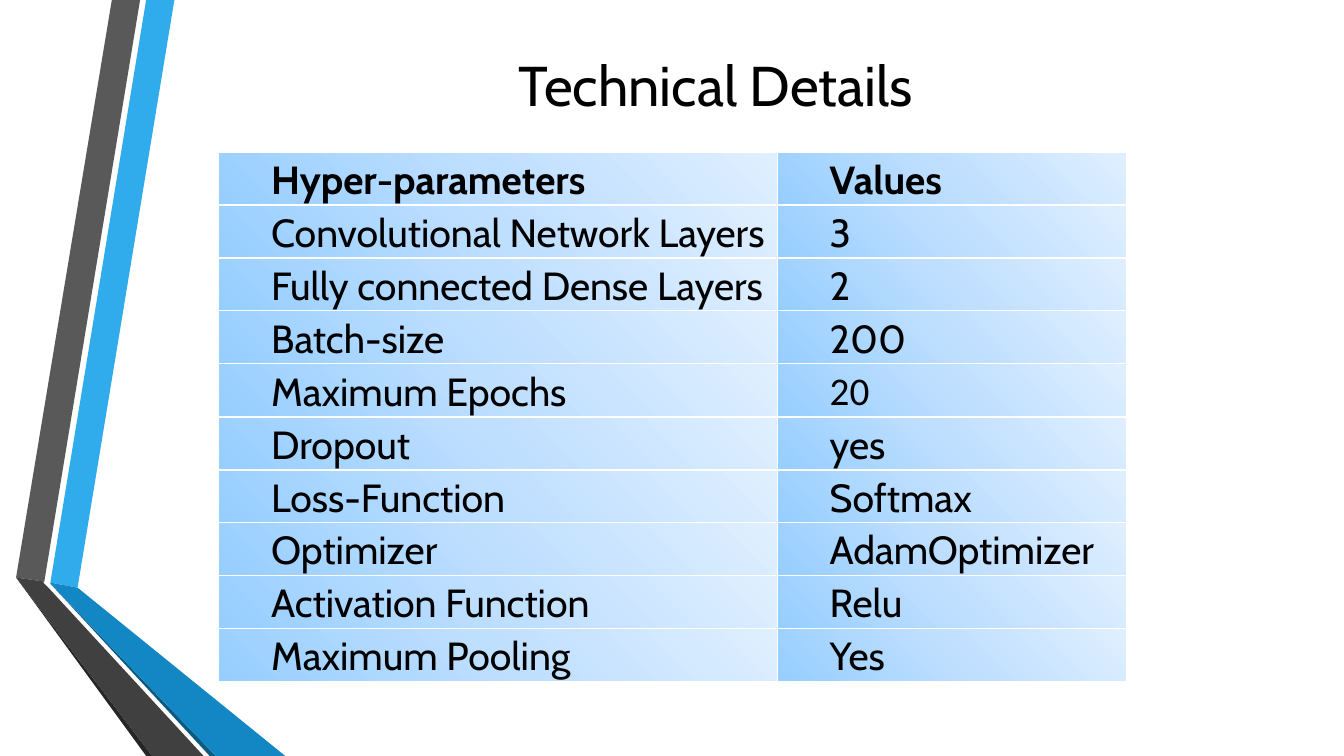
from lxml import etree
from pptx import Presentation
from pptx.dml.color import RGBColor
from pptx.enum.text import MSO_ANCHOR, PP_ALIGN
from pptx.oxml.ns import qn
from pptx.util import Inches, Pt

MIDDLE = MSO_ANCHOR.MIDDLE
CENTER = PP_ALIGN.CENTER

COLORS = {
    "text": "000000",
    "border": "FFFFFF",
    "blue": "30ACEC",
    "blue_fold": "1287C3",
    "blue_edge": "0C5A82",
    "gray": "595959",
    "gray_fold": "404040",
    "gray_edge": "262626",
}
CELL_GRADIENT = {0: "96CEFF", 50: "BFDFFF", 100: "DFEFFF"}

RIBBONS = [
    ("blue", [(0.5, 5.78), (0.77, 5.83), (1.73, 0), (1.45, 0)]),
    ("gray", [(1.39, 0), (1.11, 0), (0.16, 5.73), (0.44, 5.77)]),
    ("gray_edge", [(0.16, 5.73), (1.45, 7.5), (1.51, 7.5)]),
    ("blue_edge", [(0.5, 5.79), (2.08, 7.5), (2.14, 7.5)]),
    ("blue_fold", [(0.5, 5.79), (2.14, 7.5), (2.83, 7.5), (0.77, 5.83), (0.5, 5.78)]),
    ("gray_fold", [(2.02, 7.5), (0.48, 5.83), (0.43, 5.78), (0.44, 5.77),
                   (0.16, 5.73), (1.51, 7.5)]),
]

HYPER_PARAMETERS = [
    ("Hyper-parameters", "Values"),
    ("Convolutional Network Layers", "3"),
    ("Fully connected Dense Layers", "2"),
    ("Batch-size", "200"),
    ("Maximum Epochs", "20"),
    ("Dropout", "yes"),
    ("Loss-Function", "Softmax"),
    ("Optimizer", "AdamOptimizer"),
    ("Activation Function", "Relu"),
    ("Maximum Pooling", "Yes"),
]


def add_color(parent, name):
    etree.SubElement(parent, qn("a:srgbClr"), val=name)


class SlideBuilder:
    font = "Cabin"

    def __init__(self, slide):
        self.s = slide

    def format_text(self, p, size, bold=False, font=None):
        for r in p.runs:
            r.font.name = font or self.font
            r.font.size = Pt(size)
            r.font.bold = bold
            r.font.color.rgb = RGBColor.from_string(COLORS["text"])

    def ribbons(self, pieces):
        group = self.s.shapes.add_group_shape()
        for color, points in pieces:
            start, *rest = [(Inches(x), Inches(y)) for x, y in points]
            builder = group.shapes.build_freeform(*start)
            builder.add_line_segments(rest, close=True)
            sp = builder.convert_to_shape()
            sp.shadow.inherit = False
            sp.fill.solid()
            sp.fill.fore_color.rgb = RGBColor.from_string(COLORS[color])
            sp.line.fill.background()

    def title(self, text, left, top, width, height):
        sp = self.s.shapes.title
        sp.left, sp.top = Inches(left), Inches(top)
        sp.width, sp.height = Inches(width), Inches(height)
        tf = sp.text_frame
        tf.text = text
        tf.vertical_anchor = MIDDLE
        p = tf.paragraphs[0]
        p.alignment = CENTER
        self.format_text(p, 40)
        sp.element.getparent().append(sp.element)  # in front of the ribbons

    def style_cell(self, cell):
        """Give the cell white borders and a diagonal gradient."""
        cell.vertical_anchor = MIDDLE
        cell.margin_left = Inches(0.52)
        cell.margin_right = cell.margin_top = cell.margin_bottom = Inches(0.01)
        tcPr = cell._tc.get_or_add_tcPr()
        for side in ("a:lnL", "a:lnR", "a:lnT", "a:lnB"):
            ln = etree.SubElement(tcPr, qn(side), w=str(Pt(1)))
            add_color(etree.SubElement(ln, qn("a:solidFill")), COLORS["border"])
        grad = etree.SubElement(tcPr, qn("a:gradFill"), rotWithShape="1")
        stops = etree.SubElement(grad, qn("a:gsLst"))
        for percent, color in CELL_GRADIENT.items():
            add_color(etree.SubElement(stops, qn("a:gs"), pos=str(percent * 1000)), color)
        etree.SubElement(grad, qn("a:lin"), ang=str(315 * 60000), scaled="0")

    def table(self, rows, left, top, col_widths, row_height, fonts):
        """Draw the rows; fonts maps (row, column) to a font other than the usual one."""
        table = self.s.shapes.add_table(
            len(rows), len(col_widths), Inches(left), Inches(top),
            Inches(sum(col_widths)), Inches(row_height * len(rows))).table
        for column, width in zip(table.columns, col_widths):
            column.width = Inches(width)
        for i, values in enumerate(rows):
            table.rows[i].height = Inches(row_height)
            for j, value in enumerate(values):
                cell = table.cell(i, j)
                cell.text = value
                self.style_cell(cell)
                p = cell.text_frame.paragraphs[0]
                p.line_spacing = 1.07
                self.format_text(p, 28, bold=i == 0, font=fonts.get((i, j)))


def main():
    prs = Presentation()
    prs.slide_width, prs.slide_height = Inches(13.33), Inches(7.5)
    title_only = prs.slide_layouts[5]
    builder = SlideBuilder(prs.slides.add_slide(title_only))
    builder.ribbons(RIBBONS)
    builder.title("Technical Details", 1.62, 0.33, 10.96, 1)
    builder.table(HYPER_PARAMETERS, 2.17, 1.51, (5.54, 3.46), 0.52, {(4, 1): "Calibri"})
    prs.save("out.pptx")


if __name__ == "__main__":
    main()
